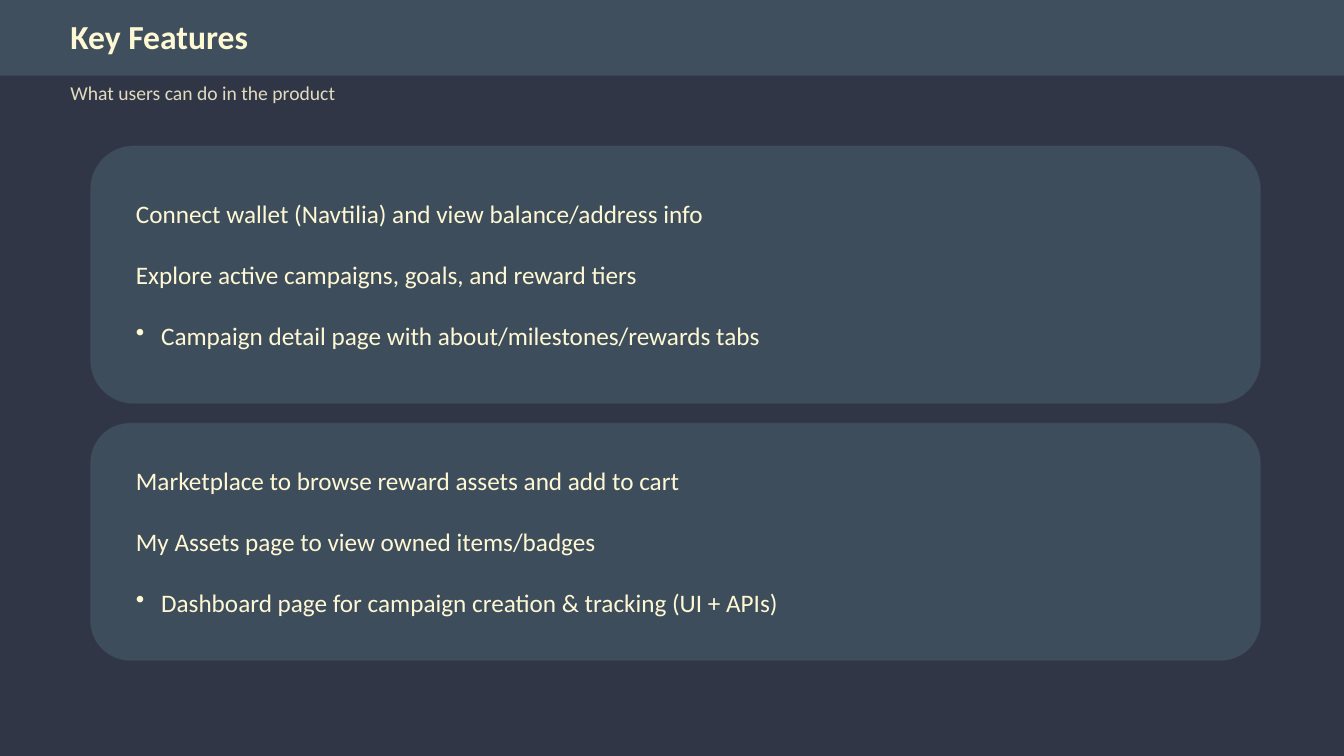
from lxml.etree import SubElement
from pptx import Presentation
from pptx.dml.color import RGBColor
from pptx.enum.shapes import MSO_SHAPE as Shape
from pptx.enum.text import MSO_ANCHOR as Anchor
from pptx.oxml.ns import qn
from pptx.util import Inches, Pt

NIGHT = RGBColor(0x31, 0x36, 0x47)
SLATE = RGBColor(0x43, 0x56, 0x63)
CREAM = RGBColor(0xFF, 0xF8, 0xD4)

WIDTH, HEIGHT = 13.33, 7.5
HEADER_LEFT, HEADER_WIDTH = 0.6, 12.2
CARD_LEFT, CARD_WIDTH, CARD_TOP, CARD_GAP = 0.9, 11.6, 1.45, 0.2
PAD_X, PAD_Y = 0.35, 0.25
BULLET_INDENT = 0.25

# Each card: height, plain lines, bulleted closing line
CARDS = [
    (2.55,
     ["Connect wallet (Navtilia) and view balance/address info",
      "Explore active campaigns, goals, and reward tiers"],
     "Campaign detail page with about/milestones/rewards tabs"),
    (2.35,
     ["Marketplace to browse reward assets and add to cart",
      "My Assets page to view owned items/badges"],
     "Dashboard page for campaign creation & tracking (UI + APIs)"),
]


def set_opacity(properties, percent):
    """Apply opacity to the solid colour directly inside an XML element."""
    color = properties.find(qn("a:solidFill")).find(qn("a:srgbClr"))
    SubElement(color, qn("a:alpha")).set("val", str(percent * 1000))


def add_panel(slide, kind, box, opacity, line_opacity=None):
    shape = slide.shapes.add_shape(kind, *map(Inches, box))
    shape.shadow.inherit = False
    shape.fill.solid()
    shape.fill.fore_color.rgb = SLATE
    set_opacity(shape.element.spPr, opacity)
    if line_opacity is None:
        shape.line.fill.background()
    else:
        shape.line.color.rgb = SLATE
        shape.line.width = Pt(1)
        set_opacity(shape.element.spPr.find(qn("a:ln")), line_opacity)


def add_bullet(paragraph):
    properties = paragraph._p.get_or_add_pPr()
    properties.set("marL", str(Inches(BULLET_INDENT)))
    properties.set("indent", str(-Inches(BULLET_INDENT)))
    SubElement(properties, qn("a:buChar")).set("char", "•")


def add_text(slide, lines, box, size, bold=False, opacity=100, gap=0):
    """Add a middle-anchored text box and return its paragraphs."""
    frame = slide.shapes.add_textbox(*map(Inches, box)).text_frame
    frame.word_wrap = True
    frame.vertical_anchor = Anchor.MIDDLE
    frame.text = "\n".join(lines)
    for index, paragraph in enumerate(frame.paragraphs):
        if index:
            paragraph.space_before = Pt(gap)
        run = paragraph.runs[0]
        run.font.name = "Calibri"
        run.font.size = Pt(size)
        run.font.bold = bold
        run.font.color.rgb = CREAM
        if opacity < 100:
            set_opacity(run.font._element, opacity)
    return frame.paragraphs


def add_card(slide, top, height, plain_lines, bullet_line):
    add_panel(slide, Shape.ROUNDED_RECTANGLE,
              (CARD_LEFT, top, CARD_WIDTH, height), 75, line_opacity=30)
    inner = (CARD_LEFT + PAD_X, top + PAD_Y,
             CARD_WIDTH - 2 * PAD_X, height - 2 * PAD_Y)
    paragraphs = add_text(slide, plain_lines + [bullet_line], inner, 18, gap=22)
    add_bullet(paragraphs[-1])


def main():
    presentation = Presentation()
    presentation.slide_width = Inches(WIDTH)
    presentation.slide_height = Inches(HEIGHT)
    slide = presentation.slides.add_slide(presentation.slide_layouts[6])
    slide.background.fill.solid()
    slide.background.fill.fore_color.rgb = NIGHT

    add_panel(slide, Shape.RECTANGLE, (0, 0, WIDTH, HEIGHT / 10), 80)
    add_text(slide, ["Key Features"],
             (HEADER_LEFT, 0.16, HEADER_WIDTH, 0.4), 24, bold=True)
    add_text(slide, ["What users can do in the product"],
             (HEADER_LEFT, 0.72, HEADER_WIDTH, 0.4), 14, opacity=85)

    top = CARD_TOP
    for height, plain_lines, bullet_line in CARDS:
        add_card(slide, top, height, plain_lines, bullet_line)
        top += height + CARD_GAP

    presentation.save("out.pptx")


if __name__ == "__main__":
    main()
